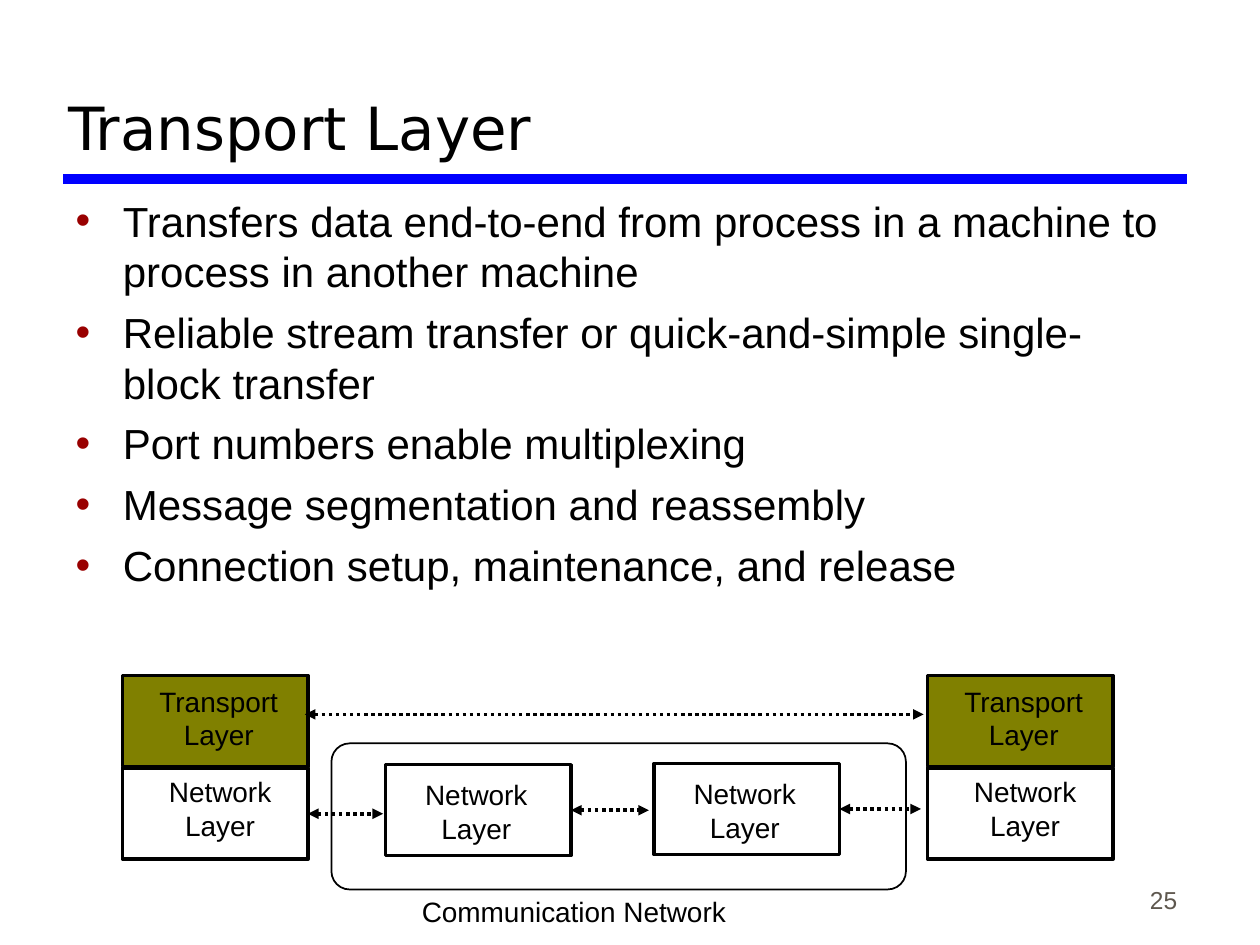
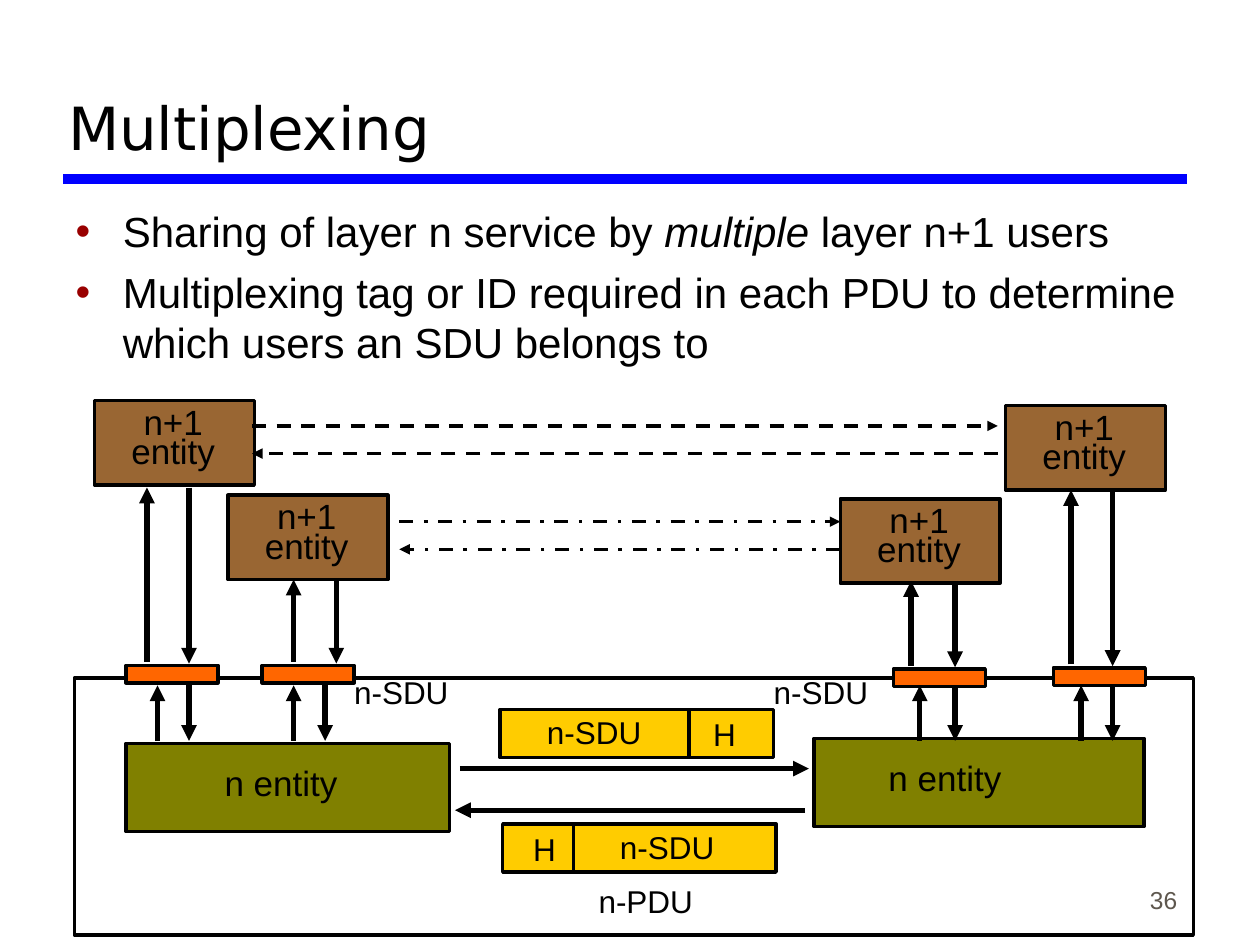
from dataclasses import dataclass

from lxml import etree
from pptx import Presentation
from pptx import util as u
from pptx.dml import color
from pptx.enum import dml, shapes, text
from pptx.oxml import ns

# Shared look
BLACK = color.RGBColor(0x00, 0x00, 0x00)
BLUE = color.RGBColor(0x00, 0x00, 0xFF)
GREY = color.RGBColor(0x5E, 0x57, 0x4E)
RED = color.RGBColor(0x99, 0x00, 0x00)
OLIVE = color.RGBColor(0x80, 0x80, 0x00)
BROWN = color.RGBColor(0x99, 0x66, 0x33)
GOLD = color.RGBColor(0xFF, 0xCC, 0x00)
ORANGE = color.RGBColor(0xFF, 0x66, 0x00)
SANS, HEAD = "Arial", "DejaVu Sans"
LEFT, MID, RIGHT = text.PP_ALIGN.LEFT, text.PP_ALIGN.CENTER, text.PP_ALIGN.RIGHT
DOT = dml.MSO_LINE.ROUND_DOT
DASH = dml.MSO_LINE.DASH
DASHDOT = dml.MSO_LINE.DASH_DOT


@dataclass
class Box:
    x: float
    y: float
    w: float
    h: float
    fill: color.RGBColor | None = None
    line: float = 2
    round: float = 0


@dataclass
class Label:
    x: float
    y: float
    w: float
    h: float
    lines: tuple[str, ...]
    size: float = 16
    align: text.PP_ALIGN = MID
    anchor: text.MSO_ANCHOR = text.MSO_ANCHOR.TOP
    space: float | None = None
    tint: color.RGBColor = BLACK


@dataclass
class Line:
    x1: float
    y1: float
    x2: float
    y2: float
    width: float = 2
    ends: tuple[str, ...] = ()
    dash: dml.MSO_LINE | None = None
    tint: color.RGBColor = BLACK


@dataclass
class Port:
    x: float
    y: float
    up: float      # arrows above the port
    down: float
    rise: float    # arrow below the port, going up
    top: float     # bottom edge of the entity above


def add_run(para, words: str, size: float, font: str = SANS,
            tint: color.RGBColor = BLACK, slant: bool = False) -> None:
    run = para.add_run()
    run.text = words
    run.font.size = u.Pt(size)
    run.font.name = font
    run.font.color.rgb = tint
    run.font.italic = slant


def add_box(slide, box: Box):
    kind = shapes.MSO_SHAPE.ROUNDED_RECTANGLE if box.round else shapes.MSO_SHAPE.RECTANGLE
    item = slide.shapes.add_shape(kind, *map(u.Pt, (box.x, box.y, box.w, box.h)))
    item.shadow.inherit = False
    if box.round:
        item.adjustments[0] = box.round
    if box.fill is None:
        item.fill.background()
    else:
        item.fill.solid()
        item.fill.fore_color.rgb = box.fill
    item.line.color.rgb = BLACK
    item.line.width = u.Pt(box.line)
    return item


def add_label(slide, label: Label) -> None:
    item = slide.shapes.add_textbox(*map(u.Pt, (label.x, label.y, label.w, label.h)))
    frame = item.text_frame
    frame.word_wrap = False
    frame.vertical_anchor = label.anchor
    for i, words in enumerate(label.lines):
        para = frame.add_paragraph() if i else frame.paragraphs[0]
        para.alignment = label.align
        if label.space:
            para.line_spacing = label.space
        add_run(para, words, label.size, tint=label.tint)


def add_line(slide, line: Line):
    item = slide.shapes.add_connector(
        shapes.MSO_CONNECTOR.STRAIGHT, *map(u.Pt, (line.x1, line.y1, line.x2, line.y2)))
    item.line.color.rgb = line.tint
    item.line.width = u.Pt(line.width)
    if line.dash is not None:
        item.line.dash_style = line.dash
    stroke = item.line._get_or_add_ln()
    for end in line.ends:
        etree.SubElement(stroke, ns.qn(f"a:{end}"), type="triangle")
    etree.SubElement(item._element.spPr, ns.qn("a:effectLst"))
    return item


def place(item, x: float, y: float, w: float, h: float) -> None:
    item.left, item.top, item.width, item.height = map(u.Pt, (x, y, w, h))


def add_bullet(para) -> None:
    props = para._p.get_or_add_pPr()
    props.set("marL", str(u.Pt(27)))
    props.set("indent", str(u.Pt(-27)))
    tone = etree.SubElement(props, ns.qn("a:buClr"))
    etree.SubElement(tone, ns.qn("a:srgbClr"), val=str(RED))
    etree.SubElement(props, ns.qn("a:buFont"), typeface=SANS)
    etree.SubElement(props, ns.qn("a:buChar"), char="•")


def add_slide(deck, title: str, number: str, spot: tuple[float, ...],
              points: list[list[str]]):
    """Add title, rule, number and list; odd parts of a point are italic."""
    slide = deck.slides.add_slide(deck.slide_layouts[1])
    add_line(slide, Line(36, 102.2, 678.2, 102.2, 6, tint=BLUE))
    add_label(slide, Label(530, 490.3, 149.8, 36, (number,), 14, RIGHT,
                           text.MSO_ANCHOR.BOTTOM, tint=GREY))

    head = slide.shapes.title
    place(head, 31.7, 12.2, 645.8, 84.2)
    head.text_frame.auto_size = text.MSO_AUTO_SIZE.NONE
    head.text_frame.vertical_anchor = text.MSO_ANCHOR.BOTTOM
    para = head.text_frame.paragraphs[0]
    para.alignment = LEFT
    add_run(para, title, 34, HEAD)

    body = slide.placeholders[1]
    place(body, *spot)
    body.text_frame.auto_size = text.MSO_AUTO_SIZE.NONE
    for i, parts in enumerate(points):
        para = body.text_frame.add_paragraph() if i else body.text_frame.paragraphs[0]
        add_bullet(para)
        para.space_before = u.Pt(6 if i else 0)
        for j, words in enumerate(parts):
            add_run(para, words, 24, slant=j % 2 == 1)
    return slide


def draw_layers(deck) -> None:
    slide = add_slide(deck, "Transport Layer", "25", (36, 108, 643.7, 258.5), [
        ["Transfers data end-to-end from process in a machine to process in another machine"],
        ["Reliable stream transfer or quick-and-simple single-block transfer"],
        ["Port numbers enable multiplexing"],
        ["Message segmentation and reassembly"],
        ["Connection setup, maintenance, and release"],
    ])
    wide, tall = 106, 52
    trans, net = ("Transport", "Layer"), ("Network", "Layer")

    # End hosts: transport above network
    hosts = []
    for x in (70, 530):
        add_box(slide, Box(x, 386, wide, tall, OLIVE))
        hosts.append(add_box(slide, Box(x, 439, wide, tall)))
        add_label(slide, Label(x + 13.5, 387.4, 83, 45.4, trans))
        add_label(slide, Label(x + 14.3, 439.2, 83, 45.4, net))

    # Nodes inside the network
    nodes = []
    for x, y in ((220.3, 437), (373.7, 436.3)):
        nodes.append(add_box(slide, Box(x, y, wide, tall)))
        add_label(slide, Label(x + 10.4, y + 4, 83, 45.4, net))
    add_box(slide, Box(189.4, 424.8, 328.3, 83.5, line=1, round=0.125))
    add_label(slide, Label(234, 507.6, 188, 26, ("Communication Network",), align=LEFT))

    # Dotted exchanges between peers
    both = ("headEnd", "tailEnd")
    add_line(slide, Line(174.2, 408.2, 527.8, 408.2, 2, both, DOT))
    hops = ((hosts[0], 176, 218.9, 465), (nodes[0], 326.3, 370.8, 463),
            (nodes[1], 479.7, 526.3, 462.3))
    for start, x1, x2, y in hops:
        hop = add_line(slide, Line(x1, y, x2, y, 2, both, DOT))
        hop.begin_connect(start, 3)


def draw_mux(deck) -> None:
    slide = add_slide(deck, "Multiplexing", "36", (36, 113.8, 671.8, 120.2), [
        ["Sharing of layer n service by ", "multiple", " layer n+1 users"],
        ["Multiplexing tag or ID required in each PDU to determine which users an SDU belongs to"],
    ])
    mid, tip = text.MSO_ANCHOR.MIDDLE, ("tailEnd",)

    # Users of the service
    for x, y in ((130.3, 283), (54, 229), (574.6, 231.8), (480.2, 285.1)):
        add_box(slide, Box(x, y, 91.4, 48.2, BROWN))
        add_label(slide, Label(x + 13, y + 2.8, 64, 40.3, ("n+1", "entity"), 20, space=0.7))

    # Layer n and its two entities
    add_box(slide, Box(42.5, 387.4, 639.4, 146.9))
    for x, y, w, inset in ((72, 424.8, 185, 49), (465.1, 421.9, 188.6, 35.3)):
        add_box(slide, Box(x, y, w, 50.4, OLIVE))
        add_label(slide, Label(x + inset, y + 11.5, 79.2, 26, ("n entity",), 20, space=0.8))

    # Data units: box, divider, header and payload
    for x, y, cut, tag, load in ((285.8, 405.4, 108, 114.5, 19.5),
                                 (287.3, 470.9, 40.3, 10.1, 59.7)):
        add_box(slide, Box(x, y, 156.2, 27.4, GOLD))
        add_line(slide, Line(x + cut, y, x + cut, y + 27))
        add_label(slide, Label(x + tag, y - 0.4, 27.4, 28.8, ("H",), 18, anchor=mid))
        add_label(slide, Label(x + load, y - 1.4, 68.4, 28.8, ("n-SDU",), 18, anchor=mid))
    for x, y, w, words in ((195.1, 380.9, 68.4, "n-SDU"), (434.9, 380.9, 68.4, "n-SDU"),
                           (324, 500.4, 90, "n-PDU")):
        add_label(slide, Label(x, y, w, 28.8, (words,), 18, anchor=mid))

    # Access points with arrows above and below
    ports = (Port(72, 380.2, 84, 108, 90, 278.6),
             Port(149.8, 380.2, 167.8, 192.2, 167.8, 331.2),
             Port(510.5, 382.3, 520.6, 545.8, 525.6, 332),
             Port(601.9, 381.6, 612, 635.8, 617.8, 280.1))
    for port in ports:
        add_box(slide, Box(port.x, port.y, 52.6, 10, ORANGE))
        drop = 185.8 if port is ports[1] else port.down
        for x, y1, y2 in ((port.up, port.y - 2, port.top), (port.down, port.top, port.y - 1),
                          (port.rise, 423.4, 391.7), (drop, 391.7, 423.4)):
            add_line(slide, Line(x, y1, x, y2, 3, tip))

    # Exchanges between peers
    for x1, x2, y, width, dash in ((262.8, 462.2, 439.2, 3, None),
                                   (460.1, 260, 463, 3, None),
                                   (228.2, 480.2, 298.1, 2, DASHDOT),
                                   (480.2, 228.2, 313.9, 2, DASHDOT),
                                   (144, 570.2, 243.4, 2, DASH),
                                   (570.2, 144, 259.2, 2, DASH)):
        add_line(slide, Line(x1, y, x2, y, width, tip, dash))


def main() -> None:
    deck = Presentation()
    deck.slide_width, deck.slide_height = u.Pt(720), u.Pt(540)
    draw_layers(deck)
    draw_mux(deck)
    deck.save("out.pptx")


if __name__ == "__main__":
    main()
